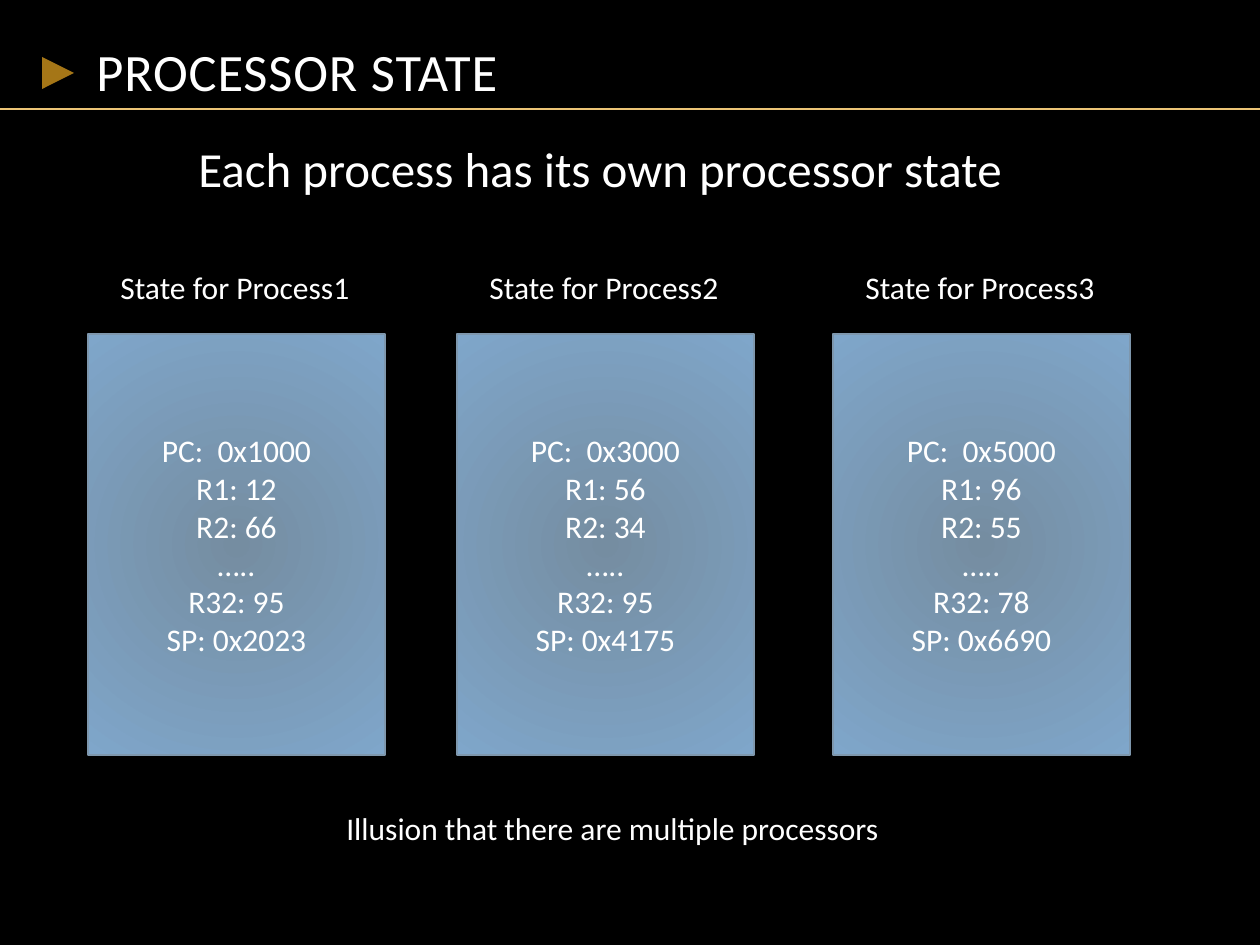
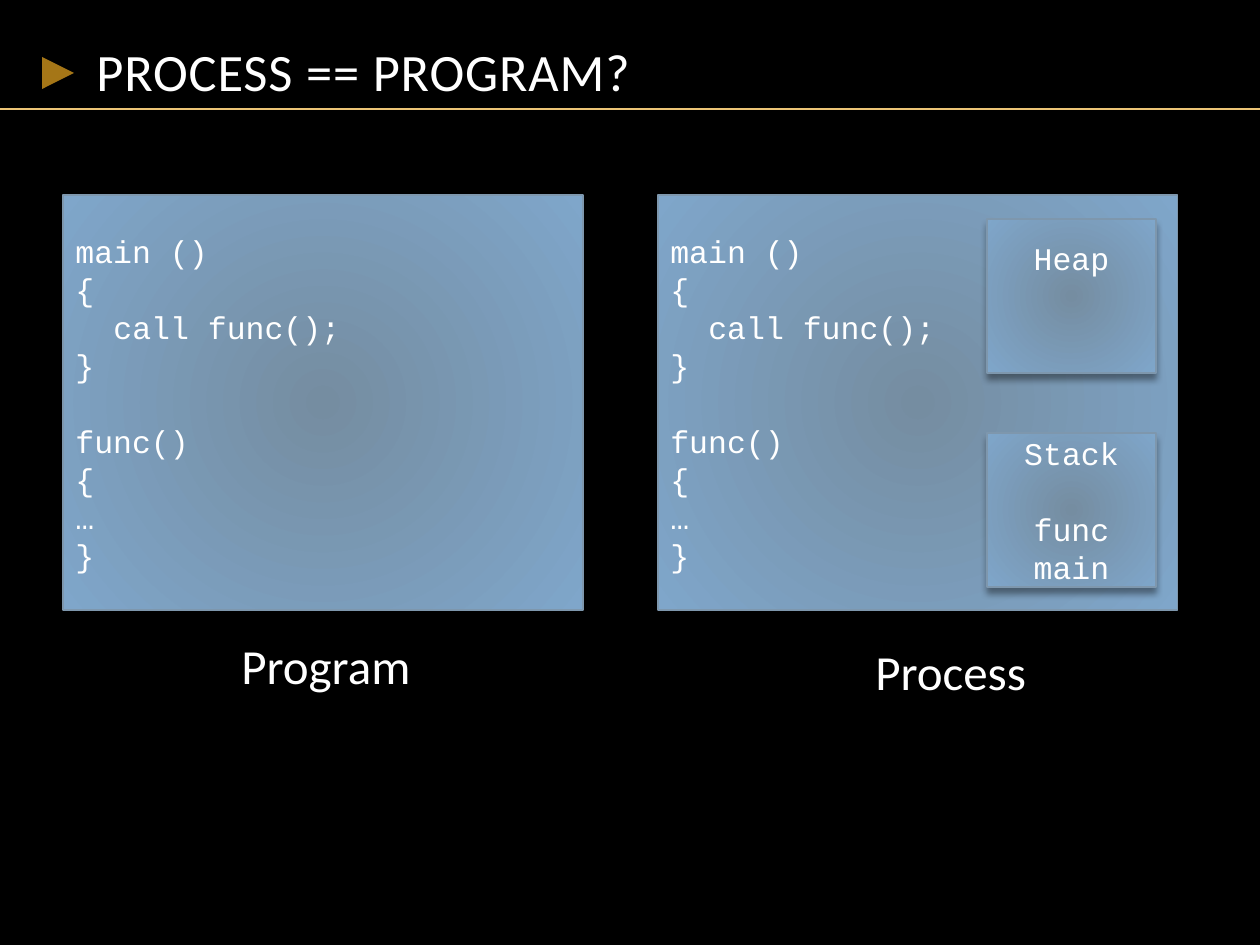
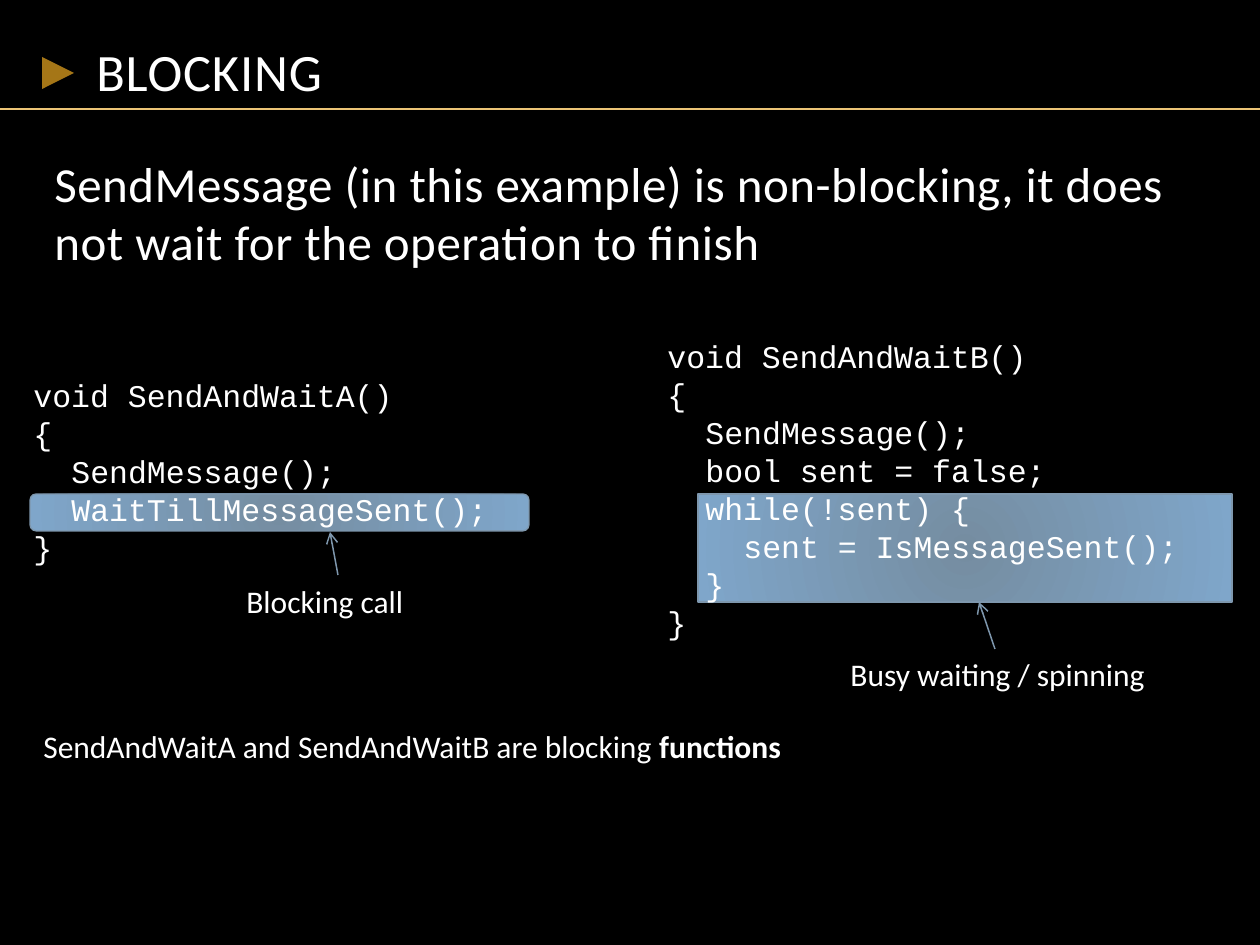
from dataclasses import dataclass

from pptx import Presentation
from pptx.dml.color import RGBColor as RGB
from pptx.enum.shapes import MSO_CONNECTOR as Link, MSO_SHAPE as Preset
from pptx.enum.text import MSO_ANCHOR as Anchor, MSO_AUTO_SIZE as Fit, PP_ALIGN as Align
from pptx.oxml import parse_xml
from pptx.oxml.ns import nsdecls, qn
from pptx.util import Pt

PX = 914400 // 126
NS = nsdecls("a")


@dataclass(frozen=True)
class Theme:
    background: RGB = RGB.from_string("000000")
    text: RGB = RGB.from_string("FFFFFF")
    rule: RGB = RGB.from_string("ECC577")
    marker: RGB = RGB.from_string("A57617")
    panel_core: RGB = RGB.from_string("758DA1")
    panel_rim: RGB = RGB.from_string("7FA6CA")
    outline: RGB = RGB.from_string("7E97AD")
    sans: str = "Calibri"
    mono: str = "Courier New"
    title: int = 30
    lead: int = 28
    body: int = 18
    code_line: float = 21.7
    code_char: int = 19


theme = Theme()


def write(slide, box, lines, size=theme.body, font=theme.sans, align=Align.LEFT,
          anchor=Anchor.TOP, wrap=False, spacing=0, bold_tail="", shape=None):
    """Write lines; leading spaces become indents, an empty line becomes a gap."""
    if shape is None:
        shape = slide.shapes.add_textbox(*[n * PX for n in box])
        shape.text_frame.auto_size = Fit.NONE if wrap else Fit.SHAPE_TO_FIT_TEXT
    frame = shape.text_frame
    frame.word_wrap = wrap
    frame.vertical_anchor = anchor
    frame.text = "\n".join(line.lstrip() for line in lines if line)
    if bold_tail:
        tail = frame.paragraphs[-1].add_run()
        tail.text = bold_tail
        tail.font.bold = True

    paragraphs = iter(frame.paragraphs)
    gap = 0
    for line in lines:
        if not line:
            gap += theme.code_line
            continue
        paragraph = next(paragraphs)
        paragraph.alignment = align
        if font == theme.mono:
            paragraph.line_spacing = Pt(theme.code_line)
        if gap:
            paragraph.space_before = Pt(gap)
            gap = 0
        indent = len(line) - len(line.lstrip())
        if indent:
            properties = paragraph._p.get_or_add_pPr()
            properties.set("marL", str(indent * theme.code_char * PX))
            properties.set("indent", "0")
        for run in paragraph.runs:
            run.font.size, run.font.name = Pt(size), font
            run.font.color.rgb = theme.text
            if spacing:
                run._r.get_or_add_rPr().set("spc", str(spacing))


def add_panel(slide, box, preset=Preset.RECTANGLE):
    """Add a panel with a radial gradient and a soft shadow below it."""
    panel = slide.shapes.add_shape(preset, *[n * PX for n in box])
    panel.fill.gradient()
    for stop, colour in zip(panel.fill.gradient_stops, (theme.panel_core, theme.panel_rim)):
        stop.color.rgb = colour
    panel.line.color.rgb = theme.outline
    panel.line.width = Pt(0.75)
    panel.shadow.inherit = False
    properties = panel._element.spPr
    linear = properties.find(".//" + qn("a:lin"))
    linear.getparent().replace(linear, parse_xml(
        f'<a:path {NS} path="circle"><a:fillToRect l="100000" t="100000" '
        'r="100000" b="100000"/></a:path>'))
    properties.find(qn("a:effectLst")).append(parse_xml(
        f'<a:outerShdw {NS} blurRad="{Pt(4)}" dist="{Pt(3.4)}" dir="5400000" '
        'rotWithShape="0"><a:srgbClr val="000000"><a:alpha val="40000"/>'
        '</a:srgbClr></a:outerShdw>'))
    return panel


prs = Presentation()
prs.slide_width, prs.slide_height = 1260 * PX, 945 * PX
master_fill = prs.slide_master.background.fill
master_fill.solid()
master_fill.fore_color.rgb = theme.background

# Shared header: rule, marker and title
slides = []
for heading in ("PROCESSOR STATE", "PROCESS == PROGRAM?", "BLOCKING"):
    slide = prs.slides.add_slide(prs.slide_layouts[6])
    rule = slide.shapes.add_connector(Link.STRAIGHT, 0, 109 * PX, 1260 * PX, 109 * PX)
    rule.line.color.rgb = theme.rule
    rule.line.width = Pt(0.75)
    rule._element.spPr.append(parse_xml(f"<a:effectLst {NS}/>"))
    marker = slide.shapes.add_shape(
        Preset.ISOSCELES_TRIANGLE, 42 * PX, 57 * PX, 32 * PX, 32 * PX)
    marker.rotation = 90
    marker.fill.solid()
    marker.fill.fore_color.rgb = theme.marker
    marker.line.fill.background()
    marker.shadow.inherit = False
    write(slide, (84, 21, 1092, 87), [heading], theme.title,
          anchor=Anchor.BOTTOM, wrap=True, spacing=50)
    slides.append(slide)
state_slide, program_slide, blocking_slide = slides

# Processor state: one register panel per process
write(state_slide, (186, 132, 838, 72), ["Each process has its own processor state"], theme.lead)
registers = [
    (88, "0x1000", 12, 66, 95, "0x2023"),
    (457, "0x3000", 56, 34, 95, "0x4175"),
    (833, "0x5000", 96, 55, 78, "0x6690"),
]
for number, (left, pc, r1, r2, r32, sp) in enumerate(registers, 1):
    panel = add_panel(state_slide, (left, 334, 297, 421))
    values = [f"PC:  {pc}", f"R1: {r1}", f"R2: {r2}", "…..", f"R32: {r32}", f"SP: {sp}"]
    write(state_slide, None, values, align=Align.CENTER, anchor=Anchor.MIDDLE,
          wrap=True, shape=panel)
    write(state_slide, (left + 20, 262, 260, 50), [f"State for Process{number}"])
write(state_slide, (334, 803, 566, 50), ["Illusion that there are multiple processors"])

# Program and process: the same code, with memory areas for the process
program_code = ["main ()", "{", "  call func();", "}", "", "func()", "{", "…", "}"]
for left, caption, caption_box in (
    (63, "Program", (229, 629, 197, 72)),
    (658, "Process", (863, 635, 178, 72)),
):
    panel = add_panel(program_slide, (left, 195, 520, 415))
    write(program_slide, None, program_code, font=theme.mono,
          anchor=Anchor.MIDDLE, wrap=True, shape=panel)
    write(program_slide, caption_box, [caption], theme.lead)

heap = add_panel(program_slide, (987, 219, 169, 154))
heap.text_frame.margin_top = 20 * PX
write(program_slide, None, ["Heap"], font=theme.mono, align=Align.CENTER,
      wrap=True, shape=heap)
stack = add_panel(program_slide, (987, 433, 169, 154))
write(program_slide, None, ["Stack", "", "func", "main"], font=theme.mono,
      align=Align.CENTER, anchor=Anchor.MIDDLE, wrap=True, shape=stack)

# Blocking: two functions with their waiting lines highlighted
write(blocking_slide, (42, 147, 1155, 136),
      ["SendMessage (in this example) is non-blocking, it does not wait for the "
       "operation to finish"], theme.lead, wrap=True, spacing=30)
wait_b = ["void SendAndWaitB()", "{", "  SendMessage();", "  bool sent = false;",
          "  while(!sent) {", "    sent = IsMessageSent();", "  }", "}"]
wait_a = ["void SendAndWaitA()", "{", "  SendMessage();", "  WaitTillMessageSent();", "}"]
for highlight, preset, code_box, code, note_box, note, arrow_ends in (
    ((698, 494, 534, 108), Preset.RECTANGLE, (655, 331, 549, 318), wait_b,
     (838, 649, 324, 50), "Busy waiting / spinning", (995, 649, 979, 602)),
    ((30, 494, 499, 37), Preset.ROUNDED_RECTANGLE, (21, 370, 484, 204), wait_a,
     (234, 576, 184, 50), "Blocking call", (338, 575, 330, 532)),
):
    add_panel(blocking_slide, highlight, preset)
    write(blocking_slide, code_box, code, font=theme.mono, wrap=True)
    write(blocking_slide, note_box, [note])
    arrow = blocking_slide.shapes.add_connector(Link.STRAIGHT, *[n * PX for n in arrow_ends])
    arrow.line.color.rgb = theme.outline
    arrow.line.width = Pt(0.85)
    arrow.line._get_or_add_ln().append(parse_xml(f'<a:tailEnd {NS} type="arrow"/>'))
    arrow._element.spPr.append(parse_xml(f"<a:effectLst {NS}/>"))
write(blocking_slide, (31, 721, 772, 50),
      ["SendAndWaitA and SendAndWaitB are blocking "], bold_tail="functions")

prs.save("out.pptx")
